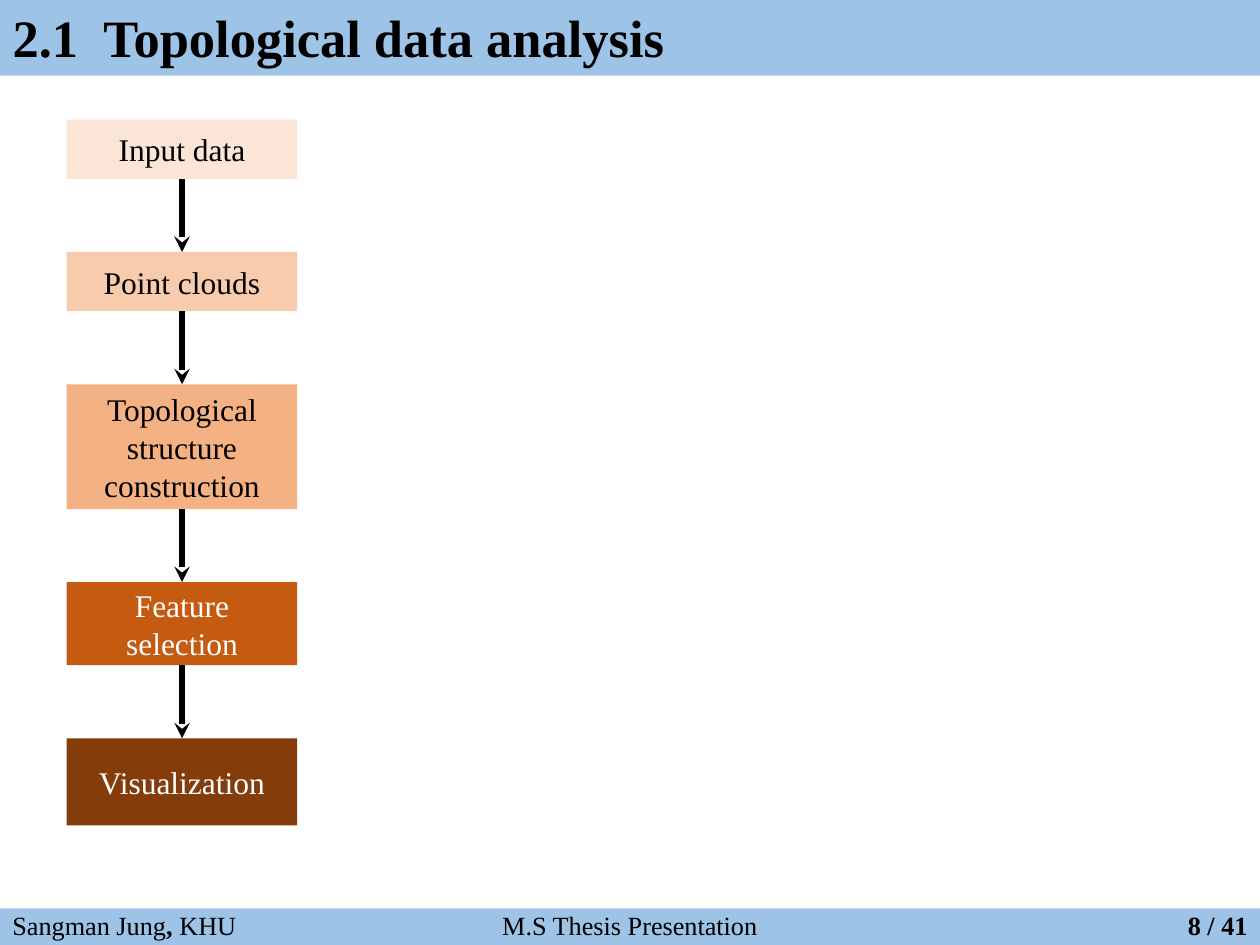
from lxml import etree
from pptx import Presentation
from pptx.dml.color import RGBColor
from pptx.enum.shapes import MSO_CONNECTOR, MSO_SHAPE
from pptx.enum.text import MSO_ANCHOR, MSO_AUTO_SIZE, PP_ALIGN
from pptx.oxml.ns import qn
from pptx.util import Inches, Pt

LEFT, CENTER, RIGHT = PP_ALIGN.LEFT, PP_ALIGN.CENTER, PP_ALIGN.RIGHT
TOP, MIDDLE, BOTTOM = MSO_ANCHOR.TOP, MSO_ANCHOR.MIDDLE, MSO_ANCHOR.BOTTOM
RECTANGLE, STRAIGHT = MSO_SHAPE.RECTANGLE, MSO_CONNECTOR.STRAIGHT
NO_AUTOFIT = MSO_AUTO_SIZE.NONE

FONT = "Times New Roman"
COLORS = {
    "bar": "9DC3E6", "black": "000000", "white": "FFFFFF",
    "input": "FBE5D6", "points": "F8CBAD", "structure": "F4B183",
    "feature": "C55A11", "visual": "843C0B",
}

TITLE = "2.1  Topological data analysis"
FOOTERS = [
    (0, 10, CENTER, [("M.S Thesis Presentation", False)]),
    (0, 2.36, LEFT, [("Sangman Jung", False), (", ", True), ("KHU", False)]),
    (9.15, 0.85, RIGHT, [("8 / 41", True)]),
]
STEPS = [
    (["Input data"], 0.47, "input", "black"),
    (["Point clouds"], 0.47, "points", "black"),
    (["Topological structure", "construction"], 0.99, "structure", "black"),
    (["Feature", "selection"], 0.66, "feature", "white"),
    (["Visualization"], 0.69, "visual", "white"),
]
STEP_LEFT, STEP_TOP, STEP_WIDTH, STEP_GAP = 0.53, 0.95, 1.83, 0.58


def rgb(name):
    return RGBColor.from_string(COLORS[name])


def write(sp, paragraphs, size=18, color="black", align=LEFT, anchor=TOP, spacing=None):
    tf = sp.text_frame
    tf.word_wrap = True
    tf.auto_size = NO_AUTOFIT
    tf.vertical_anchor = anchor
    for i, runs in enumerate(paragraphs):
        p = tf.add_paragraph() if i else tf.paragraphs[0]
        p.alignment = align
        if spacing:
            p.line_spacing = spacing
        for text, bold in runs:
            r = p.add_run()
            r.text = text
            r.font.name = FONT
            r.font.size = Pt(size)
            r.font.bold = bold
            r.font.color.rgb = rgb(color)


def add_block(s, left, top, width, height, fill):
    sp = s.shapes.add_shape(RECTANGLE, Inches(left), Inches(top), Inches(width), Inches(height))
    sp.shadow.inherit = False
    sp.fill.solid()
    sp.fill.fore_color.rgb = rgb(fill)
    sp.line.fill.background()
    return sp


def add_arrow(s, x, top, bottom):
    line = s.shapes.add_connector(STRAIGHT, Inches(x), Inches(top), Inches(x), Inches(bottom))
    line.line.color.rgb = rgb("black")
    line.line.width = Pt(3)
    sp_pr = line.element.spPr
    etree.SubElement(sp_pr.find(qn("a:ln")), qn("a:tailEnd"), type="stealth")
    etree.SubElement(sp_pr, qn("a:effectLst"))


def add_title(s):
    title = s.shapes.title
    title.left, title.top, title.width, title.height = 0, 0, Inches(10), Inches(0.6)
    write(title, [[(TITLE, True)]], size=30, anchor=BOTTOM, spacing=0.9)
    title.element.getparent().append(title.element)


def add_flow(s):
    top = STEP_TOP
    for i, (lines, height, fill, color) in enumerate(STEPS):
        if i:
            add_arrow(s, STEP_LEFT + STEP_WIDTH / 2, top - STEP_GAP, top)
        sp = add_block(s, STEP_LEFT, top, STEP_WIDTH, height, fill)
        write(sp, [[(line, False)] for line in lines], color=color, align=CENTER, anchor=MIDDLE)
        top += height + STEP_GAP


def main():
    prs = Presentation()
    prs.slide_width, prs.slide_height = Inches(10), Inches(7.5)
    s = prs.slides.add_slide(prs.slide_layouts[5])
    add_block(s, 0, 7.21, 10, 0.29, "bar")
    add_block(s, 0, 0, 10, 0.6, "bar")
    add_title(s)
    for left, width, align, runs in FOOTERS:
        box = s.shapes.add_textbox(Inches(left), Inches(7.17), Inches(width), Inches(0.35))
        write(box, [runs], size=15, align=align)
    add_flow(s)
    prs.save("out.pptx")


if __name__ == "__main__":
    main()
